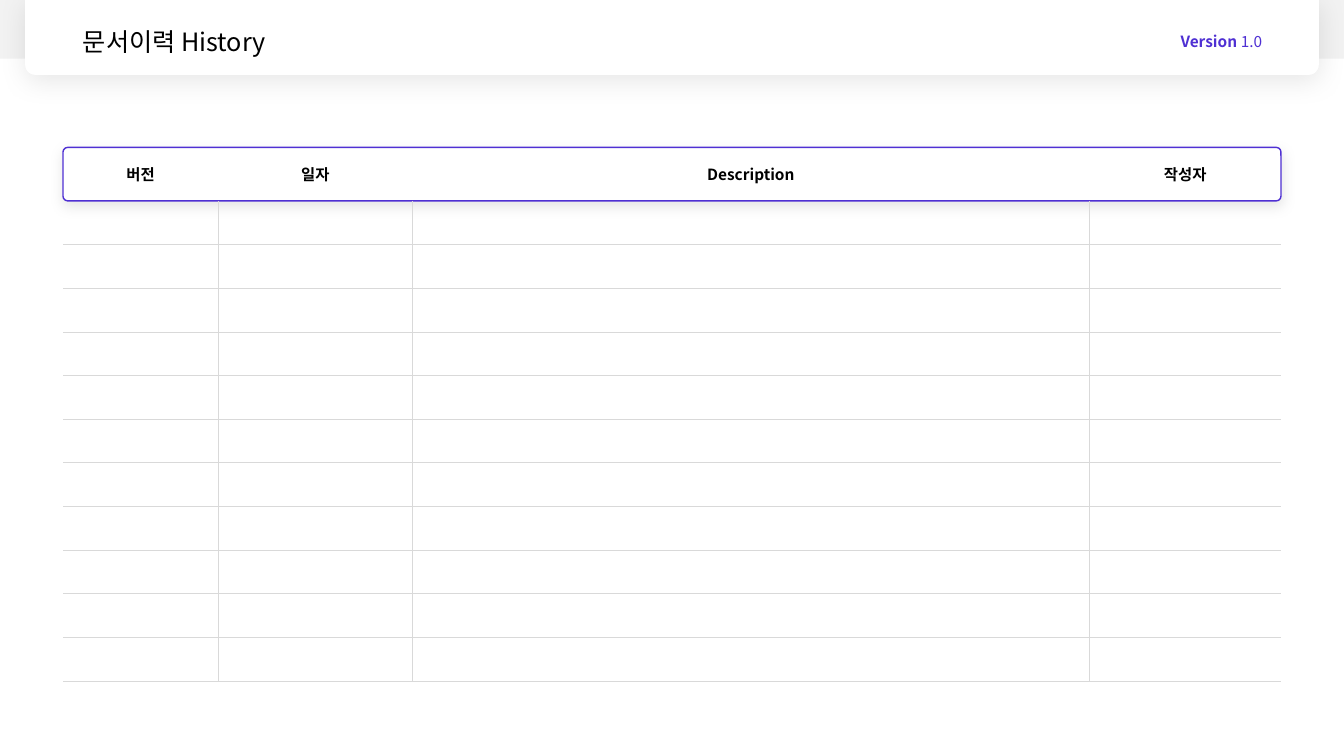
from dataclasses import dataclass

import pptx
import pptx.dml.color
import pptx.enum.shapes
import pptx.enum.text
import pptx.oxml
import pptx.oxml.ns
import pptx.shapes.autoshape
import pptx.slide
import pptx.table
import pptx.text.text
import pptx.util
from lxml import etree

Pt = pptx.util.Pt
RGBColor = pptx.dml.color.RGBColor
Shape = pptx.enum.shapes.MSO_SHAPE
Align = pptx.enum.text.PP_ALIGN
Anchor = pptx.enum.text.MSO_ANCHOR
AutoSize = pptx.enum.text.MSO_AUTO_SIZE
qn = pptx.oxml.ns.qn

BLACK = RGBColor(0x00, 0x00, 0x00)
WHITE = RGBColor(0xFF, 0xFF, 0xFF)
BAND_GRAY = RGBColor(0xF2, 0xF2, 0xF2)
GRID_GRAY = RGBColor(0xD9, 0xD9, 0xD9)
VIOLET = RGBColor(0x4F, 0x30, 0xD3)
FONT = "Noto Sans CJK KR"

SLIDE_WIDTH, SLIDE_HEIGHT = 960, 540
TABLE_LEFT, TABLE_TOP, TABLE_WIDTH = 45, 105.3, 870
HEADER_HEIGHT, ROW_HEIGHT, ROW_COUNT = 38.2, 31.2, 11


@dataclass(frozen=True)
class Panel:
    preset: Shape
    left: float
    top: float
    width: float
    height: float
    fill: RGBColor
    corners: tuple[float, ...] = ()
    line: RGBColor | None = None
    shadow_blur: float = 0


@dataclass(frozen=True)
class Column:
    heading: str
    width: float


PANELS = [
    Panel(Shape.RECTANGLE, 0, 0, SLIDE_WIDTH, 42, BAND_GRAY),
    Panel(Shape.ROUND_2_SAME_RECTANGLE, 18, 0, 924, 53.5, WHITE, (0, 0.135), shadow_blur=20),
    Panel(Shape.ROUNDED_RECTANGLE, TABLE_LEFT, TABLE_TOP, TABLE_WIDTH, HEADER_HEIGHT,
          WHITE, (0.087,), VIOLET, 10),
]
COLUMNS = [
    Column("버전", 111),
    Column("일자", 138.6),
    Column("Description", 483.6),
    Column("작성자", 136.8),
]


def add_soft_shadow(shape: pptx.shapes.autoshape.Shape, blur: float) -> None:
    """Put a faint black shadow just below the shape."""
    properties = shape.element.spPr
    effects = properties.find(qn("a:effectLst"))
    shadow = etree.SubElement(effects, qn("a:outerShdw"), blurRad=str(Pt(blur)),
                              dist=str(Pt(3)), dir="5400000", algn="t", rotWithShape="0")
    color = etree.SubElement(shadow, qn("a:srgbClr"), val=str(BLACK))
    etree.SubElement(color, qn("a:alpha"), val="10000")


def add_panel(slide: pptx.slide.Slide, panel: Panel) -> None:
    shape = slide.shapes.add_shape(panel.preset, Pt(panel.left), Pt(panel.top),
                                   Pt(panel.width), Pt(panel.height))
    for index, corner in enumerate(panel.corners):
        shape.adjustments[index] = corner
    shape.fill.solid()
    shape.fill.fore_color.rgb = panel.fill
    if panel.line is None:
        shape.line.fill.background()
    else:
        shape.line.color.rgb = panel.line
        shape.line.width = Pt(1)
    shape.shadow.inherit = False
    if panel.shadow_blur:
        add_soft_shadow(shape, panel.shadow_blur)


def add_run(paragraph: pptx.text.text._Paragraph, text: str, size: float,
            color: RGBColor, bold: bool = False) -> None:
    run = paragraph.add_run()
    run.text = text
    run.font.size = Pt(size)
    run.font.bold = bold
    run.font.color.rgb = color
    run.font.name = FONT
    latin = run.font._element.find(qn("a:latin"))
    east_asian = etree.Element(qn("a:ea"), typeface=FONT)
    latin.addnext(east_asian)


def set_borders(cell: pptx.table._Cell, visible: dict[str, bool]) -> None:
    """Draw the visible sides (L, R, T, B) in gray and clear the others."""
    properties = cell._tc.get_or_add_tcPr()
    for index, (side, shown) in enumerate(visible.items()):
        border = etree.Element(qn(f"a:ln{side}"), w=str(Pt(0.5)))
        if shown:
            fill = etree.SubElement(border, qn("a:solidFill"))
            etree.SubElement(fill, qn("a:srgbClr"), val=str(GRID_GRAY))
        else:
            etree.SubElement(border, qn("a:noFill"))
        properties.insert(index, border)


def add_history_table(slide: pptx.slide.Slide) -> None:
    table = slide.shapes.add_table(
        ROW_COUNT + 1, len(COLUMNS), Pt(TABLE_LEFT), Pt(TABLE_TOP),
        Pt(TABLE_WIDTH), Pt(HEADER_HEIGHT + ROW_COUNT * ROW_HEIGHT)).table
    table.first_row = False
    table.horz_banding = False
    for index, row in enumerate(table.rows):
        row.height = Pt(ROW_HEIGHT if index else HEADER_HEIGHT)
    for column_index, column in enumerate(COLUMNS):
        table.columns[column_index].width = Pt(column.width)
        for row_index in range(ROW_COUNT + 1):
            cell = table.cell(row_index, column_index)
            cell.fill.background()
            cell.vertical_anchor = Anchor.MIDDLE
            cell.margin_top = cell.margin_bottom = 0
            in_body = row_index > 0
            set_borders(cell, {
                "L": in_body and column_index > 0,
                "R": in_body and column_index < len(COLUMNS) - 1,
                "T": row_index > 1,
                "B": in_body,
            })
        heading = table.cell(0, column_index).text_frame.paragraphs[0]
        heading.alignment = Align.CENTER
        add_run(heading, column.heading, 11, BLACK, bold=True)


def place_title(slide: pptx.slide.Slide) -> None:
    """Format the title placeholder and bring it in front of the panels."""
    title = slide.shapes.title
    title.left, title.top, title.width, title.height = Pt(52), Pt(5), Pt(428.4), Pt(49)
    frame = title.text_frame
    frame.auto_size = AutoSize.NONE
    frame.vertical_anchor = Anchor.MIDDLE
    paragraph = frame.paragraphs[0]
    paragraph.alignment = Align.LEFT
    add_run(paragraph, "문서이력 History", 18, BLACK)
    slide.shapes.element.append(title.element)


def add_version(slide: pptx.slide.Slide) -> None:
    frame = slide.shapes.add_textbox(Pt(756.7), Pt(19.4), Pt(152), Pt(20.6)).text_frame
    frame.word_wrap = True
    frame.auto_size = AutoSize.SHAPE_TO_FIT_TEXT
    paragraph = frame.paragraphs[0]
    paragraph.alignment = Align.RIGHT
    add_run(paragraph, "Version", 11, VIOLET, bold=True)
    add_run(paragraph, " 1.0", 11, VIOLET)


def main() -> None:
    presentation = pptx.Presentation()
    presentation.slide_width = Pt(SLIDE_WIDTH)
    presentation.slide_height = Pt(SLIDE_HEIGHT)
    slide = presentation.slides.add_slide(presentation.slide_layouts.get_by_name("Title Only"))
    for panel in PANELS:
        add_panel(slide, panel)
    place_title(slide)
    add_history_table(slide)
    add_version(slide)
    presentation.save("out.pptx")


if __name__ == "__main__":
    main()
